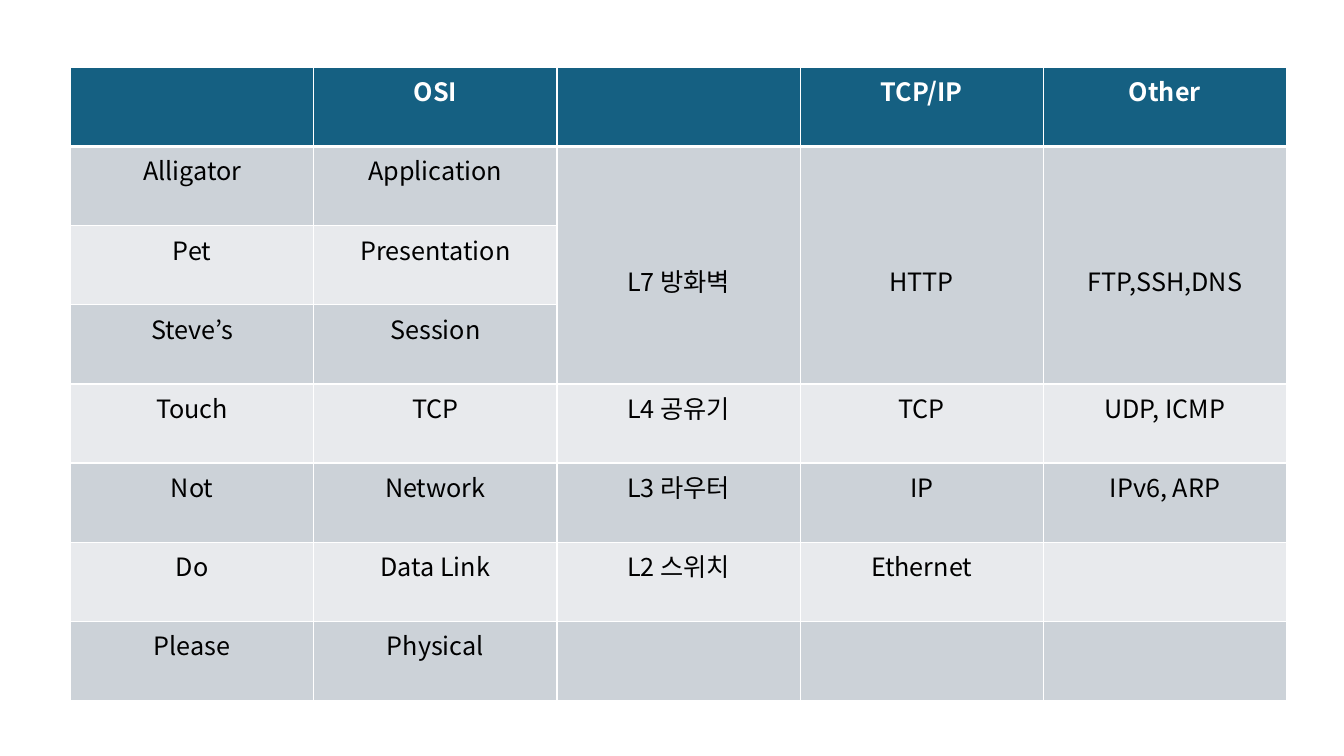
from lxml import etree
from pptx import Presentation
from pptx.dml.color import RGBColor
from pptx.enum.text import MSO_ANCHOR, PP_ALIGN
from pptx.oxml.ns import qn
from pptx.util import Inches, Pt

CENTER = PP_ALIGN.CENTER
TOP, MIDDLE = MSO_ANCHOR.TOP, MSO_ANCHOR.MIDDLE
FONT = "Noto Sans CJK KR"
WHITE, BLACK, TEAL = "FFFFFF", "000000", "156082"
BANDS = ("CCD2D8", "E8EAED")

# Content: the header, then one row per OSI layer
ROWS = [
    ("", "OSI", "", "TCP/IP", "Other"),
    ("Alligator", "Application", "L7 방화벽", "HTTP", "FTP,SSH,DNS"),
    ("Pet", "Presentation", "", "", ""),
    ("Steve’s", "Session", "", "", ""),
    ("Touch", "TCP", "L4 공유기", "TCP", "UDP, ICMP"),
    ("Not", "Network", "L3 라우터", "IP", "IPv6, ARP"),
    ("Do", "Data Link", "L2 스위치", "Ethernet", ""),
    ("Please", "Physical", "", "", ""),
]
MERGED = (2, 3, 4)  # columns where the three upper layers share a cell
FIRST, LAST = 1, 3
LEFT, UPPER, WIDTH, HEIGHT = 0.7, 0.67, 12.06, 6.28


def color(code):
    return RGBColor.from_string(code)


def write(cell, text, size=18, ink=BLACK, bold=False, anchor=TOP, inset=0.05):
    cell.vertical_anchor = anchor
    cell.margin_top = Inches(inset)
    para = cell.text_frame.paragraphs[0]
    para.alignment = CENTER
    para.font.size = Pt(size)
    if text:
        run = para.add_run()
        run.text = text
        font = run.font
        font.name, font.size, font.bold = FONT, Pt(size), bold
        font.color.rgb = color(ink)
        east = etree.SubElement(font._element, qn("a:ea"))
        east.set("typeface", FONT)


def border(cell, **widths):
    props = cell._tc.get_or_add_tcPr()
    for spot, side in enumerate("LRTB"):
        line = etree.Element(qn("a:ln" + side), w=str(Pt(widths.get(side, 1))))
        fill = etree.SubElement(line, qn("a:solidFill"))
        etree.SubElement(fill, qn("a:srgbClr"), val=WHITE)
        props.insert(spot, line)


deck = Presentation()
deck.slide_width, deck.slide_height = Inches(13.33), Inches(7.5)
slide = deck.slides.add_slide(deck.slide_layouts[6])

# Table with even columns and rows
table = slide.shapes.add_table(
    len(ROWS), len(ROWS[0]),
    Inches(LEFT), Inches(UPPER), Inches(WIDTH), Inches(HEIGHT)).table
for col in table.columns:
    col.width = Inches(WIDTH / len(ROWS[0]))
for row in table.rows:
    row.height = Inches(HEIGHT / len(ROWS))
for c in MERGED:
    table.cell(FIRST, c).merge(table.cell(LAST, c))

# Cells: teal header, then alternating bands
for r, row in enumerate(ROWS):
    head = r == 0
    for c, text in enumerate(row):
        cell = table.cell(r, c)
        cell.fill.solid()
        cell.fill.fore_color.rgb = color(TEAL if head else BANDS[(r - 1) % 2])
        border(cell, T=3 if r == 1 else 1, B=3 if head else 1)
        if cell.is_merge_origin:
            write(cell, text, anchor=MIDDLE, inset=0.35)
        elif not cell.is_spanned:
            write(cell, text, ink=WHITE if head else BLACK, bold=head)

deck.save("out.pptx")
